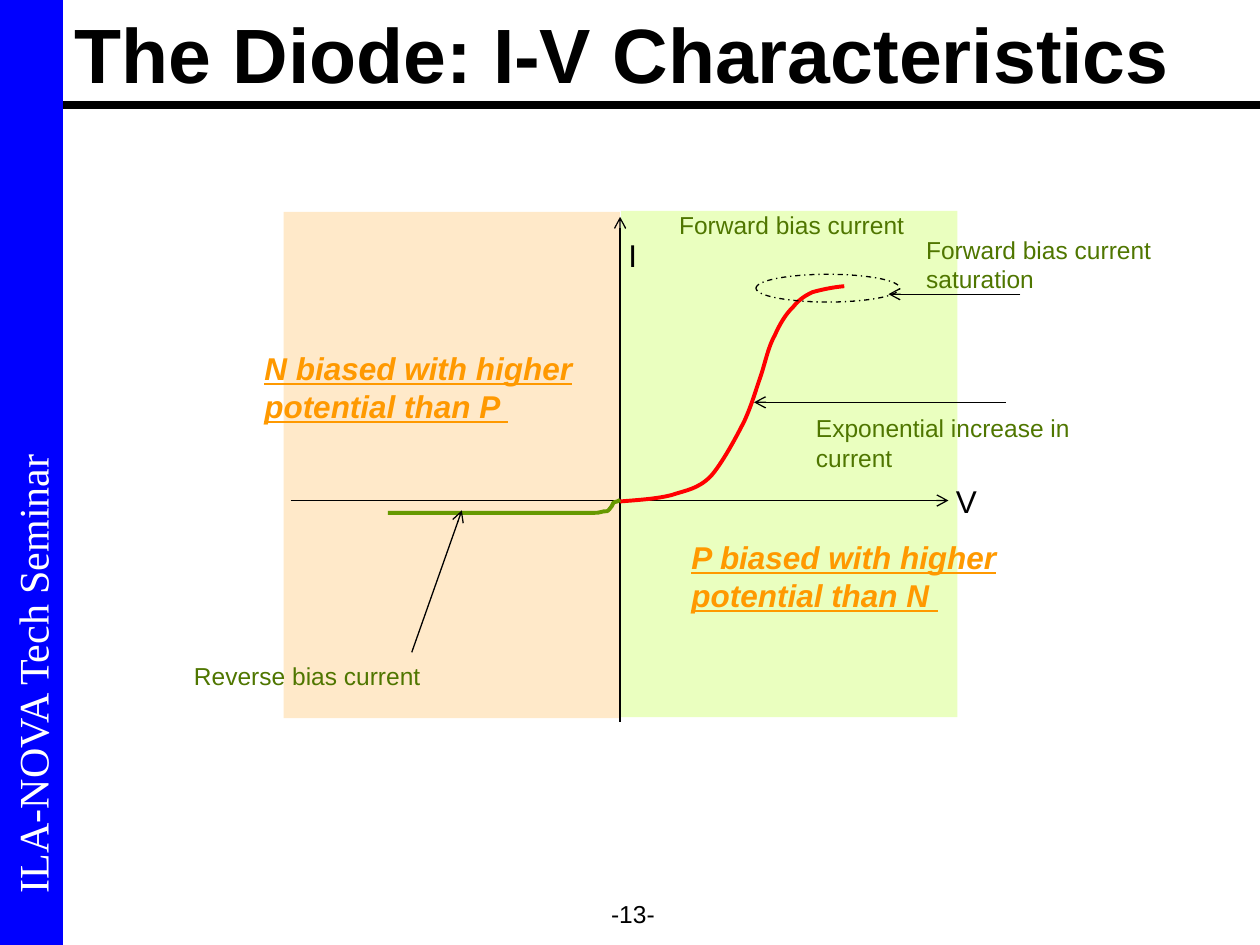
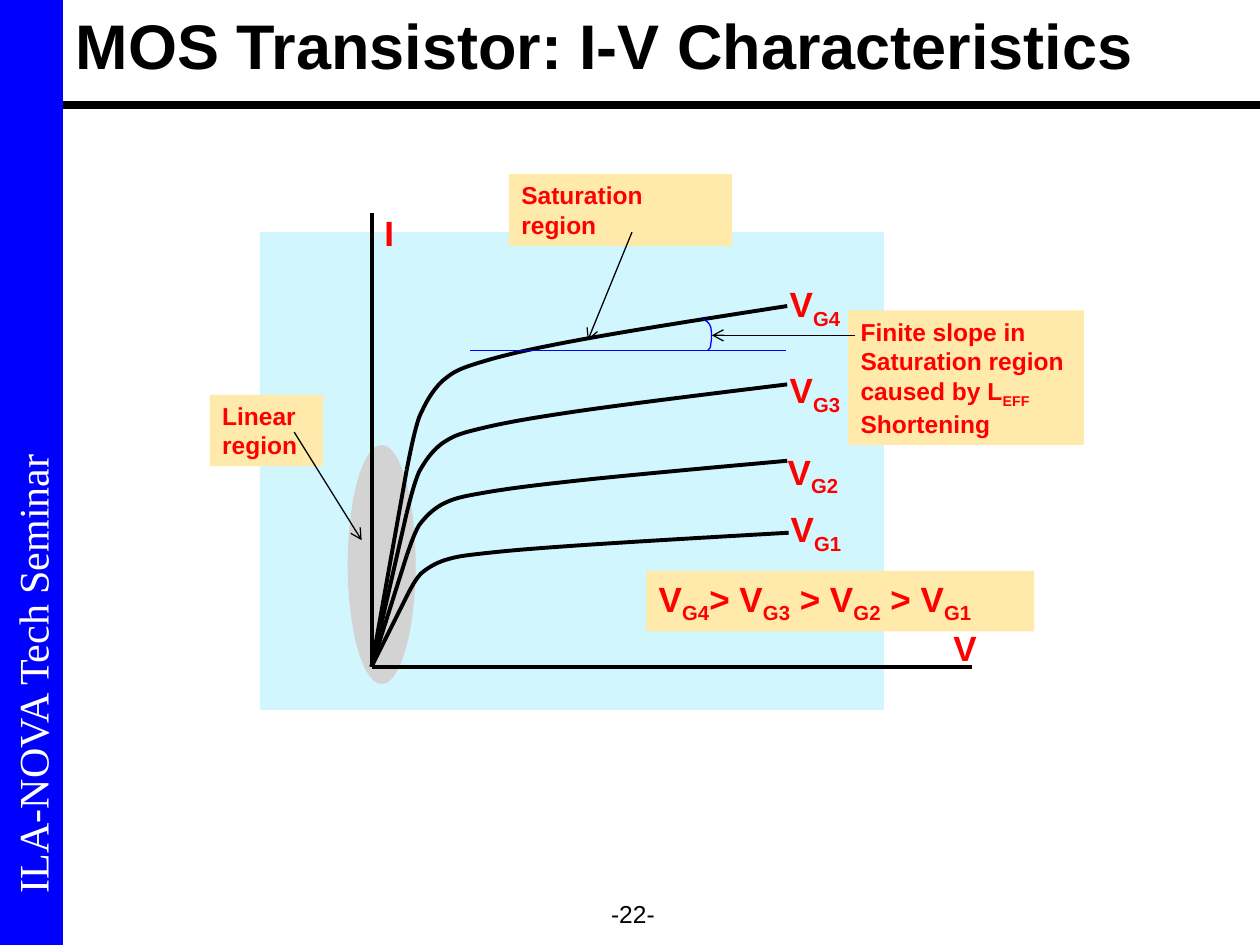
"""Build two seminar slides on diode and MOS transistor I-V characteristics."""
from lxml import etree
from pptx import Presentation
from pptx.dml.color import RGBColor
from pptx.enum.dml import MSO_LINE
from pptx.enum.shapes import MSO_CONNECTOR, MSO_SHAPE
from pptx.oxml.ns import qn
from pptx.util import Cm, Pt

RECTANGLE, OVAL = MSO_SHAPE.RECTANGLE, MSO_SHAPE.OVAL
STRAIGHT = MSO_CONNECTOR.STRAIGHT
DASH_DOT = MSO_LINE.DASH_DOT

BLACK = RGBColor(0x00, 0x00, 0x00)
WHITE = RGBColor(0xFF, 0xFF, 0xFF)
BLUE = RGBColor(0x00, 0x00, 0xFF)
RED = RGBColor(0xFF, 0x00, 0x00)
GREEN = RGBColor(0x66, 0x99, 0x00)
DARK_GREEN = RGBColor(0x4F, 0x76, 0x00)
ORANGE = RGBColor(0xFF, 0x99, 0x00)
PALE_GREEN = RGBColor(0xEA, 0xFF, 0xBF)
PALE_ORANGE = RGBColor(0xFF, 0xE9, 0xC9)
PALE_BLUE = RGBColor(0xD2, 0xF6, 0xFE)
PALE_YELLOW = RGBColor(0xFF, 0xE9, 0xAB)
GREY = RGBColor(0xD3, 0xD3, 0xD3)

THIN, THICK = 0.74, 2.24


def add_text(slide, box, runs, size, color, bold=False, slanted=False,
             fill=None, font="Arial"):
    """Add a text box whose every second run is a subscript."""
    label = slide.shapes.add_textbox(*[Cm(length) for length in box])
    if fill is not None:
        label.fill.solid()
        label.fill.fore_color.rgb = fill
    label.text_frame.word_wrap = True
    for index, text in enumerate(runs):
        run = label.text_frame.paragraphs[0].add_run()
        run.text = text
        run.font.name = font
        run.font.size = Pt(size)
        run.font.color.rgb = color
        run.font.bold = bold
        if slanted:
            run.font.italic = True
            run.font.underline = True
        if index % 2:
            run._r.get_or_add_rPr().set("baseline", "-25000")
    return label


def draw_path(parent, points, color, width, arrow=False):
    """Draw a straight line through two points, or Bezier arcs through more."""
    ends = [(Cm(x), Cm(y)) for x, y in points]
    if len(ends) == 2:
        stroke = parent.shapes.add_connector(STRAIGHT, *ends[0], *ends[1])
        etree.SubElement(stroke._element.spPr, qn("a:effectLst"))
    else:
        builder = parent.shapes.build_freeform(*ends[0])
        builder.add_line_segments(ends[1:], close=False)
        stroke = builder.convert_to_shape()
        stroke.shadow.inherit = False
        stroke.fill.background()
        outline = next(stroke._element.iter(qn("a:path")))
        segments = outline.findall(qn("a:lnTo"))
        for start in range(0, len(segments), 3):
            arc = etree.SubElement(outline, qn("a:cubicBezTo"))
            for segment in segments[start:start + 3]:
                arc.append(segment[0])
                outline.remove(segment)
    stroke.line.color.rgb = color
    stroke.line.width = Pt(width)
    if arrow:
        etree.SubElement(stroke.line._get_or_add_ln(), qn("a:tailEnd"), type="arrow")


deck = Presentation()
deck.slide_width, deck.slide_height = Cm(25.4), Cm(19.05)
blank = deck.slide_layouts[6]
diode, mos = [deck.slides.add_slide(blank) for _ in range(2)]

areas = [
    (diode, RECTANGLE, (0, 0, 1.27, 19.05), BLUE),
    (diode, RECTANGLE, (12.52, 4.25, 6.78, 10.21), PALE_GREEN),
    (diode, RECTANGLE, (5.72, 4.27, 6.78, 10.21), PALE_ORANGE),
    (mos, RECTANGLE, (0, 0, 1.27, 19.05), BLUE),
    (mos, RECTANGLE, (5.24, 4.68, 12.58, 9.63), PALE_BLUE),
    (mos, OVAL, (7.01, 8.97, 1.37, 4.82), GREY),
]
for slide, outline, box, color in areas:
    area = slide.shapes.add_shape(outline, *[Cm(length) for length in box])
    area.shadow.inherit = False
    area.fill.solid()
    area.fill.fore_color.rgb = color
    area.line.fill.background()

headings = [
    (diode, "The Diode: I-V Characteristics", 44, 1.25, "-13-"),
    (mos, "MOS Transistor: I-V Characteristics", 36, 1.28, "-22-"),
]
for slide, heading, size, left, page in headings:
    draw_path(slide, [(1.27, 2.11), (25.4, 2.11)], BLACK, 4.51)
    title = add_text(slide, (left, 0, 24.12, 2.06), [heading], size, BLACK, bold=True)
    title.text_frame.margin_top = Cm(0.13)
    add_text(slide, (12.07, 18, 1.7, 1.05), [page], 14, BLACK)
    seminar = add_text(slide, (-8.69, 8.69, 18.42, 1.07), ["ILA-NOVA Tech Seminar"],
                       24, WHITE, font="Times New Roman")
    seminar.rotation = 270
    seminar.text_frame.margin_left = Cm(0.43)
    seminar.text_frame.margin_top = Cm(0.15)
    seminar.text_frame.margin_bottom = 0

forward_current = [
    (12.5, 10.11), (12.85, 10.08), (13.23, 10.06), (13.54, 9.98), (13.84, 9.88),
    (14.07, 9.86), (14.33, 9.6), (14.55, 9.35), (14.83, 8.84), (15.01, 8.48),
    (15.16, 8.15), (15.24, 7.85), (15.34, 7.57), (15.44, 7.26), (15.49, 6.99),
    (15.62, 6.76), (15.72, 6.53), (15.85, 6.32), (15.98, 6.2), (16.1, 6.05),
    (16.21, 5.97), (16.38, 5.89), (16.56, 5.84), (16.79, 5.79), (17.02, 5.77),
]
reverse_current = [
    (12.5, 10.08), (12.47, 10.11), (12.42, 10.11), (12.37, 10.13), (12.34, 10.19),
    (12.32, 10.24), (12.29, 10.26), (12.24, 10.29), (12.29, 10.31), (12.17, 10.31),
    (12.04, 10.34), (12.22, 10.34), (11.48, 10.34), (10.77, 10.34), (9.3, 10.34),
    (7.82, 10.34),
]
diode_axes = [
    [(12.5, 14.55), (12.5, 4.37)],
    [(5.86, 10.09), (19.12, 10.09)],
]
diode_pointers = [
    [(8.3, 13.15), (9.31, 10.29)],
    [(20.27, 8.11), (15.2, 8.11)],
    [(20.57, 5.93), (17.91, 5.93)],
]
for points in diode_axes:
    draw_path(diode, points, BLACK, THIN, arrow=True)
draw_path(diode, forward_current, RED, THICK)
draw_path(diode, reverse_current, GREEN, THICK)
for points in diode_pointers:
    draw_path(diode, points, BLACK, THIN, arrow=True)

saturation = diode.shapes.add_shape(OVAL, Cm(15.24), Cm(5.53), Cm(2.9), Cm(0.56))
saturation.shadow.inherit = False
saturation.fill.background()
saturation.line.color.rgb = BLACK
saturation.line.width = Pt(THIN)
saturation.line.dash_style = DASH_DOT

for left, top, axis_name in [(12.42, 4.64, "I"), (19.02, 9.59, "V")]:
    add_text(diode, (left, top, 1.57, 1.02), [axis_name], 18, BLACK)

current_notes = [
    (3.66, 13.21, 0.86, "Reverse bias current"),
    (13.44, 4.11, 0.86, "Forward bias current"),
    (16.2, 8.21, 1.45, "Exponential increase in current"),
    (18.42, 4.61, 1.45, "Forward bias current saturation"),
]
for left, top, height, note in current_notes:
    add_text(diode, (left, top, 6.99, height), [note], 14, DARK_GREEN)

bias_notes = [
    (5.08, 6.91, "N biased with higher potential than P "),
    (13.69, 10.72, "P biased with higher potential than N "),
]
for left, top, note in bias_notes:
    add_text(diode, (left, top, 7.04, 1.78), [note], 18, ORANGE, bold=True, slanted=True)

origin = (7.49, 13.44)
for axis_end in [(7.49, 4.3), (19.6, 13.44)]:
    draw_path(mos, [origin, axis_end], BLACK, THICK)

drain_profile = [
    (0, 1), (0.08, 0.88), (0.15, 0.77), (0.25, 0.68), (0.38, 0.59), (0.51, 0.52),
    (0.71, 0.46), (0.91, 0.41), (0.99, 0.39), (1.42, 0.35), (1.85, 0.31),
    (2.21, 0.28), (3.25, 0.22), (4.29, 0.16), (5.97, 0.08), (7.67, 0),
]
gate_curves = [
    ("G4", 8.2, 6.17, 3.3, 15.67, 5.57),
    ("G3", 8.2, 7.75, 2.59, 15.67, 7.3),
    ("G2", 8.2, 9.29, 1.91, 15.63, 8.95),
    ("G1", 8.23, 10.74, 1.22, 15.69, 10.11),
]
for gate, knee_x, end_y, rise, left, top in gate_curves:
    characteristic = mos.shapes.add_group_shape()
    draw_path(characteristic, [origin, (knee_x, end_y + rise)], BLACK, THICK)
    draw_path(characteristic,
              [(knee_x + x, end_y + rise * share) for x, share in drain_profile],
              BLACK, THICK)
    add_text(mos, (left, top, 2.11, 1.22), ["V", gate], 20, RED, bold=True)

for left, top, axis_name in [(18.97, 12.5, "V"), (7.5, 4.14, "I")]:
    add_text(mos, (left, top, 1.09, 1.12), [axis_name], 20, RED, bold=True)

region_notes = [
    ((13.03, 11.51, 7.82, 1.22), 20,
     ["V", "G4", "> V", "G3", " > V", "G2", " > V", "G1"]),
    ((4.23, 7.96, 2.28, 1.44), 14, ["Linear region"]),
    ((10.26, 3.51, 4.5, 1.45), 14, ["Saturation region"]),
    ((17.1, 6.26, 4.75, 2.71), 14,
     ["Finite slope in Saturation region caused by L", "EFF", " Shortening"]),
]
for box, size, runs in region_notes:
    add_text(mos, box, runs, size, RED, bold=True, fill=PALE_YELLOW)

slope_angle = [
    (14.17, 6.43), (14.25, 6.48), (14.3, 6.5), (14.33, 6.6), (14.35, 6.68),
    (14.35, 6.86), (14.33, 6.93), (14.33, 7.01), (14.3, 7.04), (14.27, 7.06),
]
draw_path(mos, [(9.47, 7.06), (15.85, 7.06)], BLUE, THIN)
draw_path(mos, slope_angle, BLUE, THIN)

mos_pointers = [
    [(5.93, 8.71), (7.29, 10.89)],
    [(12.74, 4.68), (11.85, 6.86)],
    [(17.23, 6.76), (14.35, 6.76)],
]
for points in mos_pointers:
    draw_path(mos, points, BLACK, THIN, arrow=True)

deck.save("out.pptx")
